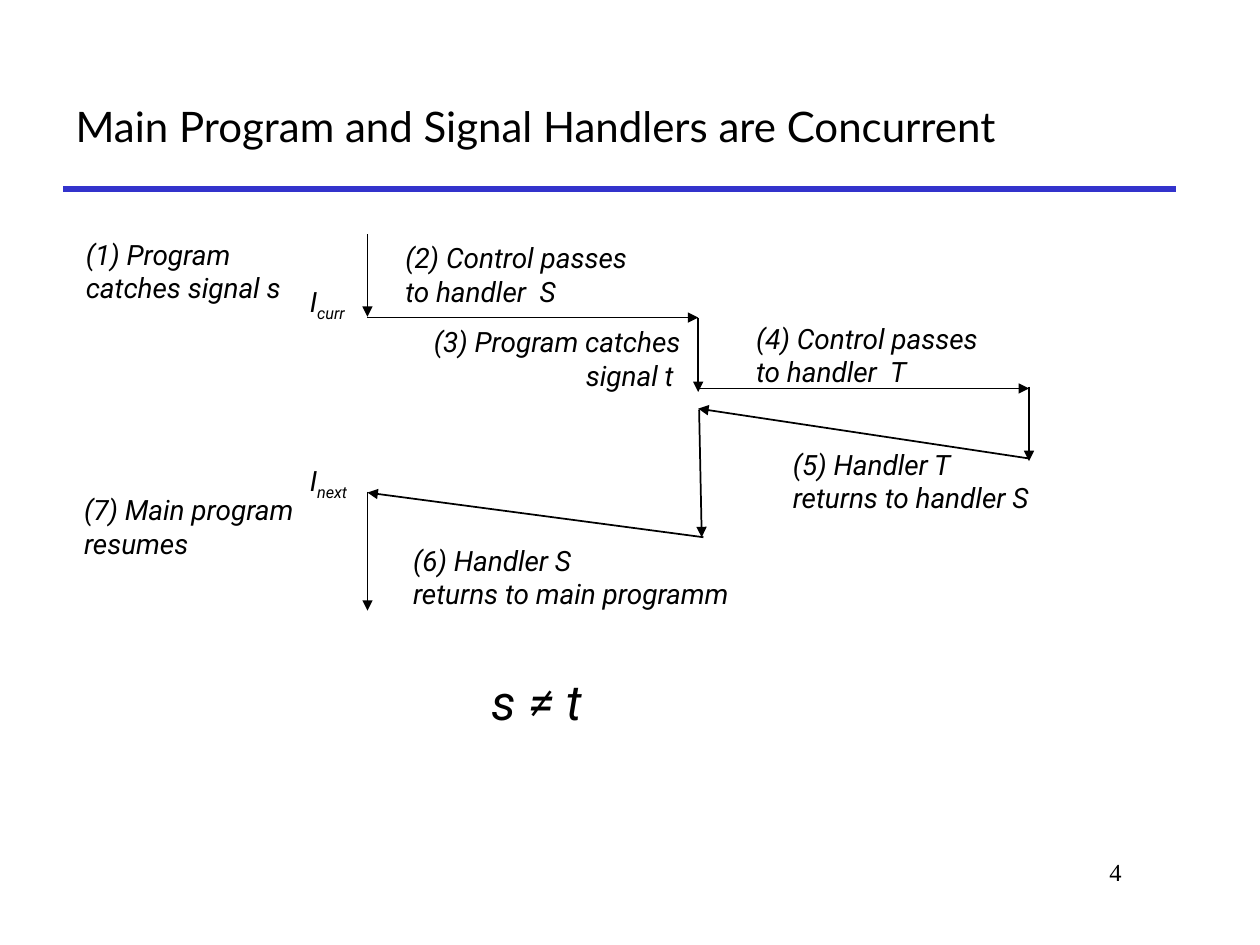
from dataclasses import dataclass

from pptx import Presentation
from pptx.dml.color import RGBColor
from pptx.enum.shapes import MSO_CONNECTOR as Connector
from pptx.enum.text import MSO_ANCHOR as Anchor, MSO_AUTO_SIZE as AutoSize, PP_ALIGN as Align
from pptx.oxml.ns import qn
from pptx.util import Pt
from lxml.etree import SubElement


@dataclass(frozen=True)
class Theme:
    ink: RGBColor = RGBColor(0, 0, 0)
    rule: RGBColor = RGBColor(0x33, 0x33, 0xCC)
    title_font: str = "Lato"
    label_font: str = "Roboto"
    number_font: str = "Times New Roman"
    title_size: int = 24
    label_size: int = 16
    claim_size: int = 28
    number_size: int = 14


THEME = Theme()
MAIN, HANDLER_S, HANDLER_T = (210 + 189 * lane for lane in range(3))

FLOW = [
    (MAIN, 134, MAIN, 181),
    (MAIN, 181.5, HANDLER_S, 181.5),
    (HANDLER_S, 182, HANDLER_S, 224),
    (HANDLER_S, 222, HANDLER_T, 222),
    (HANDLER_T, 221, HANDLER_T, 263.5),
    (HANDLER_T, 262, HANDLER_S, 233.5),
    (HANDLER_S + 0.5, 234, HANDLER_S + 2, 307),
    (HANDLER_S + 3, 307, MAIN, 281.5),
    (MAIN, 281, MAIN, 349),
]

STEPS = [
    (["(1) Program catches signal s"], 42, 132, 128, True, Align.LEFT),
    (["(2) Control passes", "to handler  S"], 224.5, 134, 151, False, Align.LEFT),
    (["(3) Program catches signal t "], 240.5, 182, 155.5, True, Align.RIGHT),
    (["(4) Control passes", "to handler  T"], 425, 180, 151, False, Align.LEFT),
    (["(5) Handler T", "returns to handler S"], 446, 252, 160.5, False, Align.LEFT),
    (["(6) Handler S", "returns to main programm"], 229, 307, 205, False, Align.LEFT),
    (["(7) Main program resumes"], 41, 278, 143.5, True, Align.LEFT),
]

INSTRUCTIONS = [("curr", 159, 37.5), ("next", 261.5, 39.5)]


def place(shape, left, top, width, height):
    """Set the bounds of a shape in points."""
    bounds = {"left": left, "top": top, "width": width, "height": height}
    for name, value in bounds.items():
        setattr(shape, name, Pt(value))


def style(font, family, size, italic=False):
    """Apply a typeface, a size and the ink colour to a font."""
    for name, value in {"name": family, "size": Pt(size), "italic": italic}.items():
        setattr(font, name, value)
    font.color.rgb = THEME.ink


def add_line(slide, start_x, start_y, end_x, end_y, color, width, arrow=False):
    """Draw a straight line, with an arrowhead at its end if asked."""
    line = slide.shapes.add_connector(
        Connector.STRAIGHT, Pt(start_x), Pt(start_y), Pt(end_x), Pt(end_y))
    line.line.color.rgb = color
    line.line.width = Pt(width)
    if arrow:
        SubElement(line.line._get_or_add_ln(), qn("a:tailEnd"), type="triangle")
    SubElement(line._element.spPr, qn("a:effectLst"))


def add_text(slide, lines, left, top, width, height, wrap=True, align=Align.LEFT,
             family=THEME.label_font, size=THEME.label_size, italic=True):
    """Add a text box with one paragraph per line and return its frame."""
    frame = slide.shapes.add_textbox(Pt(left), Pt(top), Pt(width), Pt(height)).text_frame
    frame.word_wrap = wrap
    frame.auto_size = AutoSize.SHAPE_TO_FIT_TEXT
    frame.text = "\n".join(lines)
    for paragraph in frame.paragraphs:
        paragraph.alignment = align
        for run in paragraph.runs:
            style(run.font, family, size, italic)
    return frame


def add_instruction(slide, subscript, top, width):
    """Add an instruction symbol I with a subscript."""
    symbol = add_text(slide, ["I"], 170, top, width, 26.5, wrap=False)
    index = symbol.paragraphs[0].add_run()
    index.text = subscript
    style(index.font, THEME.label_font, THEME.label_size, True)
    index._r.get_or_add_rPr().set("baseline", "-25000")


def add_title(slide, wording):
    """Fill and place the title and draw the rule below it."""
    add_line(slide, 36, 108, 672, 108, THEME.rule, 3)
    title = slide.shapes.title
    place(title, 36, 36, 636, 72)
    title.text_frame.text = wording
    title.text_frame.vertical_anchor = Anchor.MIDDLE
    heading = title.text_frame.paragraphs[0]
    heading.alignment = Align.LEFT
    style(heading.runs[0].font, THEME.title_font, THEME.title_size)


def main():
    """Build the slide and save it."""
    deck = Presentation()
    deck.slide_width, deck.slide_height = Pt(720), Pt(540)
    slide = deck.slides.add_slide(deck.slide_layouts[5])
    add_title(slide, "Main Program and Signal Handlers are Concurrent")
    for ends in FLOW:
        add_line(slide, *ends, THEME.ink, 1, arrow=True)
    for lines, left, top, width, wrap, align in STEPS:
        add_text(slide, lines, left, top, width, 46, wrap, align)
    for instruction in INSTRUCTIONS:
        add_instruction(slide, *instruction)
    add_text(slide, ["s ≠ t"], 274, 380, 74, 41, size=THEME.claim_size)
    add_text(slide, ["4"], 546, 486, 102, 36, align=Align.RIGHT,
             family=THEME.number_font, size=THEME.number_size, italic=False)
    deck.save("out.pptx")


if __name__ == "__main__":
    main()
